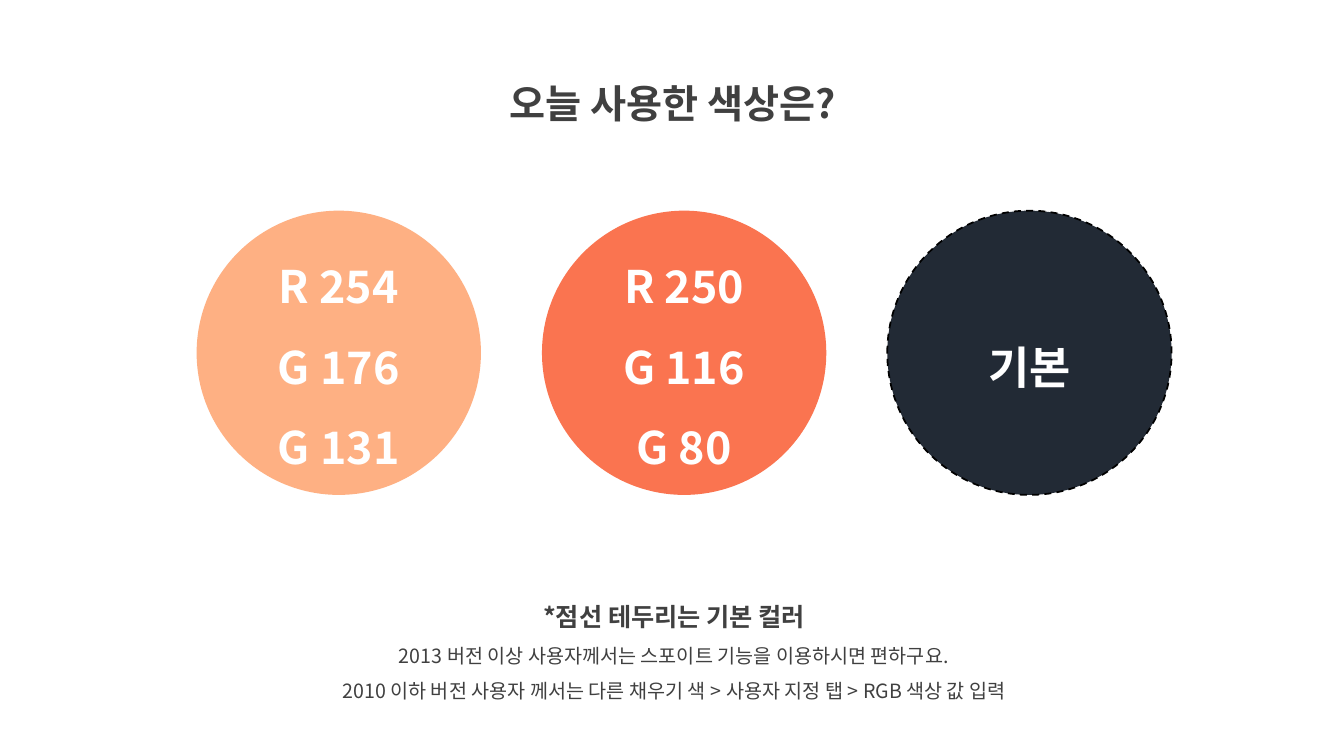
from lxml.etree import SubElement
from pptx import Presentation
from pptx.dml.color import RGBColor
from pptx.enum.dml import MSO_LINE
from pptx.enum.shapes import MSO_SHAPE
from pptx.enum.text import MSO_ANCHOR, PP_ALIGN
from pptx.oxml.ns import qn
from pptx.util import Inches, Pt

FONT = "Noto Sans CJK KR"
HUES = {"ink": "404040", "white": "FFFFFF", "peach": "FEB083",
        "coral": "FA7450", "navy": "222A35", "black": "000000"}
DISCS = [("peach", ["R 254", "G 176", "G 131"], False),
         ("coral", ["R 250", "G 116", "G 80"], False),
         ("navy", ["기본"], True)]
NOTES = ["2013 버전 이상 사용자께서는 스포이트 기능을 이용하시면 편하구요.",
         "2010 이하 버전 사용자 께서는 다른 채우기 색 > 사용자 지정 탭 > RGB 색상 값 입력"]


def tint(name):
    """Return the named colour."""
    return RGBColor.from_string(HUES[name])


def write(frame, text, size=14, bold=False, hue="ink", first=False):
    """Write one centred paragraph into a text frame."""
    para = frame.paragraphs[0] if first else frame.add_paragraph()
    para.alignment = PP_ALIGN.CENTER
    para.line_spacing = 1.5
    run = para.add_run()
    run.text = text
    font = run.font
    font.name, font.size, font.bold = FONT, Pt(size), bold
    font.color.rgb = tint(hue)
    SubElement(font._element, qn("a:ea")).set("typeface", FONT)


def frame(slide, box):
    """Add a wrapping text box and return its frame."""
    area = slide.shapes.add_textbox(*map(Inches, box)).text_frame
    area.word_wrap = True
    return area


def title(slide, box):
    """Place the heading."""
    write(frame(slide, box), "오늘 사용한 색상은?", size=28, bold=True, first=True)


def discs(slide, box):
    """Spread the colour discs evenly over the box."""
    left, top, width, side = box
    step = (width - side) / (len(DISCS) - 1)
    for col, (hue, lines, dashed) in enumerate(DISCS):
        place = map(Inches, (left + col * step, top, side, side))
        disc = slide.shapes.add_shape(MSO_SHAPE.OVAL, *place)
        disc.shadow.inherit = False
        disc.fill.solid()
        disc.fill.fore_color.rgb = tint(hue)
        if dashed:
            disc.line.color.rgb = tint("black")
            disc.line.width = Pt(1.25)
            disc.line.dash_style = MSO_LINE.DASH
        else:
            disc.line.fill.background()
        area = disc.text_frame
        area.word_wrap = True
        area.vertical_anchor = MSO_ANCHOR.MIDDLE
        for row, text in enumerate(lines):
            write(area, text, size=32, bold=True, hue="white", first=row == 0)


def notes(slide, box):
    """Place the closing remarks."""
    area = frame(slide, box)
    write(area, "*점선 테두리는 기본 컬러", size=18, bold=True, first=True)
    for text in NOTES:
        write(area, text)


def main():
    """Build and save the slide."""
    deck = Presentation()
    deck.slide_width, deck.slide_height = Inches(13.33), Inches(7.5)
    slide = deck.slides.add_slide(deck.slide_layouts[6])
    title(slide, (4.36, 0.5, 4.63, 0.72))
    discs(slide, (1.95, 2.09, 9.67, 2.82))
    notes(slide, (2.69, 5.77, 7.99, 1.26))
    deck.save("out.pptx")


main()
